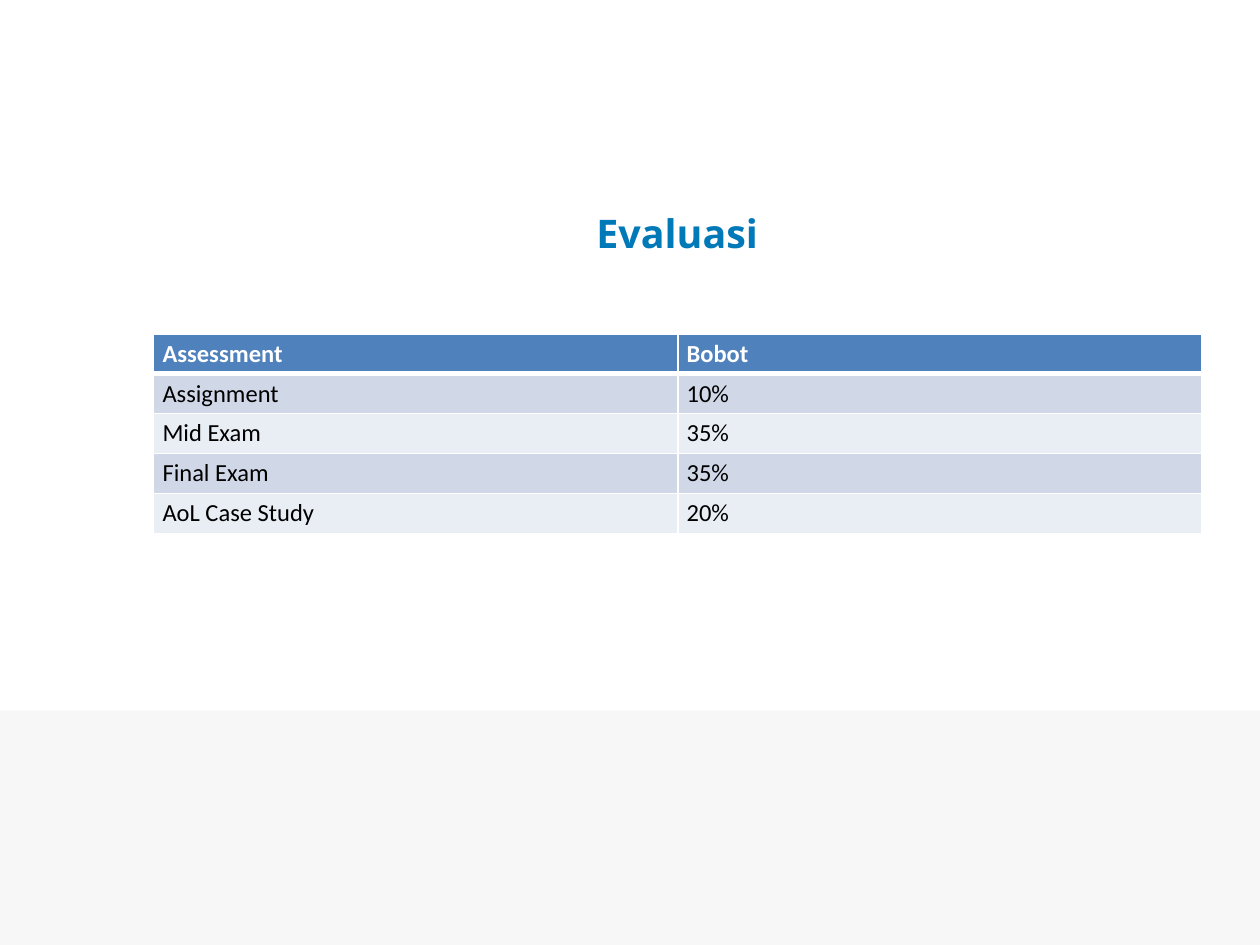
from lxml.etree import SubElement
from pptx import Presentation
from pptx.dml.color import RGBColor
from pptx.enum.shapes import MSO_SHAPE
from pptx.enum.text import MSO_ANCHOR, PP_ALIGN
from pptx.oxml.ns import qn
from pptx.util import Inches, Pt

TITLE = "Evaluasi"
WEIGHTS = [
    ("Assessment", "Bobot"),
    ("Assignment", "10%"),
    ("Mid Exam", "35%"),
    ("Final Exam", "35%"),
    ("AoL Case Study", "20%"),
]
HEADER_FILL = "4F81BD"
BAND_FILLS = ("D0D8E8", "E9EDF4")
COLUMN_WIDTH, ROW_HEIGHT = 4.16, 0.31


def paint(fill, color):
    """Give a fill one solid colour."""
    fill.solid()
    fill.fore_color.rgb = RGBColor.from_string(color)


def write(frame, text, size=14, font="Calibri", color="000000", bold=False, align=PP_ALIGN.LEFT):
    """Put formatted text into a text frame."""
    paragraph = frame.paragraphs[0]
    paragraph.alignment = align
    run = paragraph.add_run()
    run.text = text
    run.font.size = Pt(size)
    run.font.name = font
    run.font.bold = bold
    paint(run.font.fill, color)


def set_borders(cell, top, bottom, color="FFFFFF"):
    """Draw the four borders of a cell, with side borders of one point."""
    properties = cell._tc.get_or_add_tcPr()
    for side, width in zip("LRTB", (1, 1, top, bottom)):
        line = SubElement(properties, qn(f"a:ln{side}"), w=str(Pt(width)))
        SubElement(SubElement(line, qn("a:solidFill")), qn("a:srgbClr"), val=color)


def add_weights(slide):
    """Add the table of assessment weights."""
    columns = len(WEIGHTS[0])
    table = slide.shapes.add_table(
        len(WEIGHTS), columns, Inches(1.22), Inches(2.65),
        Inches(columns * COLUMN_WIDTH), Inches(len(WEIGHTS) * ROW_HEIGHT)).table
    for r, entry in enumerate(WEIGHTS):
        header = r == 0
        for c, text in enumerate(entry):
            cell = table.cell(r, c)
            cell.margin_left = cell.margin_right = Inches(0.07)
            cell.margin_top = cell.margin_bottom = Inches(0.04)
            set_borders(cell, top=3 if r == 1 else 1, bottom=3 if header else 1)
            paint(cell.fill, HEADER_FILL if header else BAND_FILLS[(r - 1) % 2])
            write(cell.text_frame, text, color="FFFFFF" if header else "000000", bold=header)


def main():
    """Build the slide and save it."""
    deck = Presentation()
    deck.slide_width, deck.slide_height = Inches(10), Inches(7.5)
    slide = deck.slides.add_slide(deck.slide_layouts[5])
    paint(slide.background.fill, "FFFFFF")

    footer = slide.shapes.add_shape(
        MSO_SHAPE.RECTANGLE, 0, Inches(5.64), Inches(10), Inches(1.86))
    footer.shadow.inherit = False
    footer.line.fill.background()
    paint(footer.fill, "F7F7F7")

    title = slide.shapes.title
    title.left, title.top = Inches(1.25), Inches(1.5)
    title.width, title.height = Inches(8.25), Inches(0.7)
    title.text_frame.vertical_anchor = MSO_ANCHOR.MIDDLE
    write(title.text_frame, TITLE, size=22.5, font="Open Sans", color="0079B8",
          bold=True, align=PP_ALIGN.CENTER)

    add_weights(slide)
    deck.save("out.pptx")


if __name__ == "__main__":
    main()
